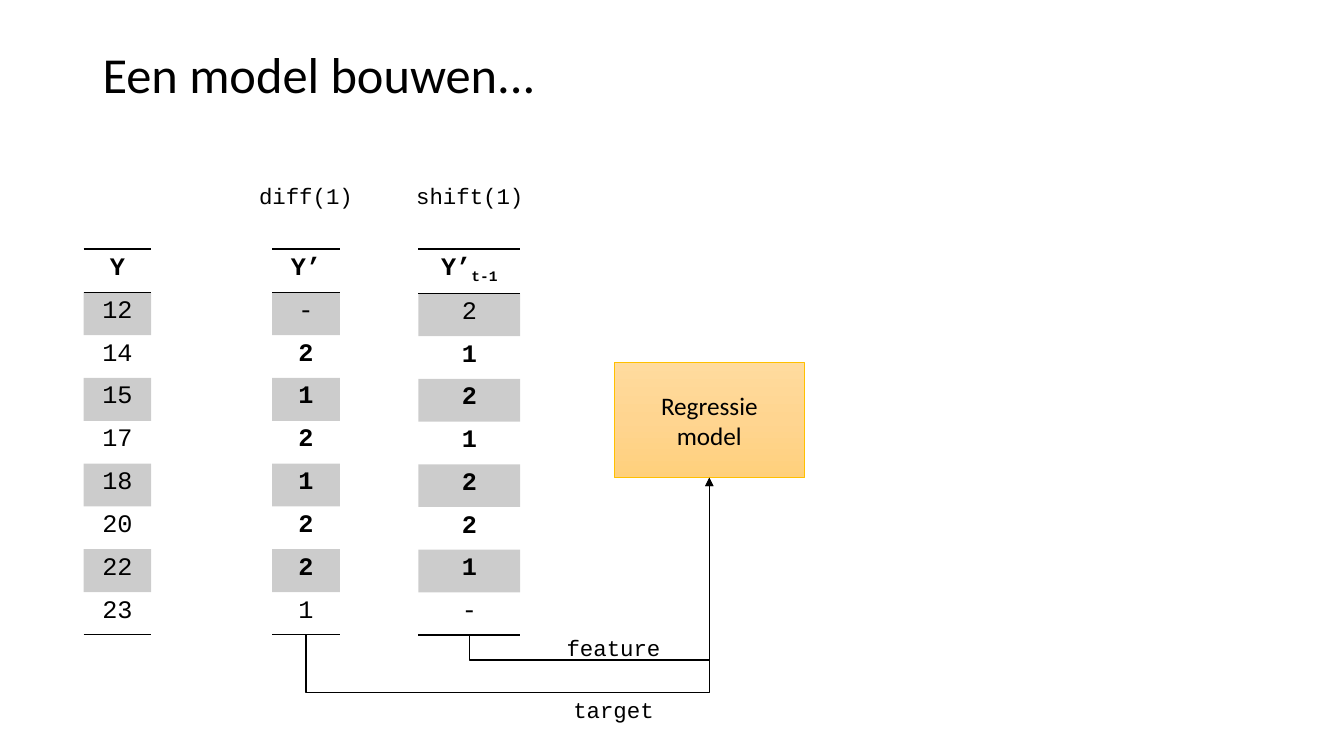
from copy import deepcopy
from dataclasses import dataclass

from lxml.etree import SubElement
from pptx import Presentation
from pptx.dml.color import RGBColor as RGB
from pptx.enum.shapes import MSO_CONNECTOR as Connector, MSO_SHAPE as Shape
from pptx.enum.text import MSO_ANCHOR as Anchor, PP_ALIGN as Align
from pptx.oxml import parse_xml
from pptx.oxml.ns import nsdecls, qn
from pptx.util import Inches, Pt


@dataclass(frozen=True)
class Theme:
    ink: RGB = RGB(0, 0, 0)
    band_opacity: int = 20
    model_stops: tuple = ((0, "FFDB9E"), (0.5, "FFD590"), (1, "FFD07C"))
    model_edge: RGB = RGB(0xFF, 0xC0, 0x00)
    sans: str = "Calibri"
    mono: str = "Courier New"
    title_size: int = 36
    body_size: int = 18
    label_size: int = 16
    rule: int = 1


@dataclass(frozen=True)
class Series:
    heading: str
    values: str
    left: float
    width: float
    subscript: str = ""
    header_height: float = 0.43
    bold_rows: range = range(0)

    @property
    def center(self) -> float:
        return self.left + self.width / 2


@dataclass(frozen=True)
class Label:
    text: str
    left: float
    top: float
    width: float


@dataclass(frozen=True)
class Flow:
    source: Series
    drop: float


THEME = Theme()
TABLE_TOP, TABLE_HEIGHT = 2.47, 3.83
MODEL_LEFT, MODEL_TOP, MODEL_WIDTH, MODEL_HEIGHT = 6.09, 3.6, 1.89, 1.14
NO_STYLE = "{2D5ABB26-0587-4C30-8999-92F81FD0307C}"

LEVEL = Series("Y", "12 14 15 17 18 20 22 23", 0.83, 0.67)
DIFFERENCE = Series("Y’", "- 2 1 2 1 2 2 1", 2.7, 0.67, bold_rows=range(2, 8))
LAGGED = Series("Y’", "2 1 2 1 2 2 1 -", 4.15, 1.01, "t-1", 0.44, range(2, 8))
LABELS = (
    Label("diff(1)", 2.45, 1.76, 1.17),
    Label("shift(1)", 4.01, 1.76, 1.3),
    Label("target", 5.45, 6.86, 1.27),
    Label("feature", 5.45, 6.24, 1.27),
)
FLOWS = (Flow(LAGGED, 0.25), Flow(DIFFERENCE, 0.57))


def add_run(paragraph, text: str, size: int, face: str, bold: bool = False):
    run = paragraph.add_run()
    run.text = text
    run.font.size, run.font.name, run.font.bold = Pt(size), face, bold
    run.font.color.rgb = THEME.ink
    return run


def add_title(slide, text: str) -> None:
    frame = slide.shapes.add_textbox(Inches(0.92), Inches(0.4), Inches(11.5), Inches(0.73)).text_frame
    frame.word_wrap, frame.vertical_anchor = True, Anchor.MIDDLE
    frame.paragraphs[0].line_spacing = 0.9
    add_run(frame.paragraphs[0], text, THEME.title_size, THEME.sans)


def add_label(slide, label: Label) -> None:
    frame = slide.shapes.add_textbox(
        Inches(label.left), Inches(label.top), Inches(label.width), Inches(0.37)).text_frame
    frame.word_wrap = True
    frame.paragraphs[0].alignment = Align.CENTER
    add_run(frame.paragraphs[0], label.text, THEME.label_size, THEME.mono)


def style_cell(cell, banded: bool, edges: tuple[str, ...]) -> None:
    """Shade the cell if banded and rule the named edges, given in the order lnT, lnB."""
    if banded:
        cell.fill.solid()
        cell.fill.fore_color.rgb = THEME.ink
    else:
        cell.fill.background()
    properties = cell._tc.get_or_add_tcPr()
    if banded:
        color = properties.find(".//" + qn("a:srgbClr"))
        SubElement(color, qn("a:alpha"), val=str(THEME.band_opacity * 1000))
    for position, edge in enumerate(edges):
        properties.insert(position, parse_xml(
            f'<a:{edge} {nsdecls("a")} w="{Pt(THEME.rule)}"><a:solidFill>'
            f'<a:srgbClr val="{THEME.ink}"/></a:solidFill></a:{edge}>'))


def add_series(slide, series: Series) -> None:
    values = series.values.split()
    table = slide.shapes.add_table(
        len(values) + 1, 1, Inches(series.left), Inches(TABLE_TOP),
        Inches(series.width), Inches(TABLE_HEIGHT)).table
    table.first_row = table.horz_banding = False
    table._tbl.tblPr.find(qn("a:tableStyleId")).text = NO_STYLE
    value_height = (TABLE_HEIGHT - series.header_height) / len(values)
    for row, text in enumerate([series.heading, *values]):
        table.rows[row].height = Inches(value_height if row else series.header_height)
        cell = table.cell(row, 0)
        paragraph = cell.text_frame.paragraphs[0]
        paragraph.alignment = Align.CENTER
        bold = row == 0 or row in series.bold_rows
        add_run(paragraph, text, THEME.body_size, THEME.mono, bold)
        if row == 0 and series.subscript:
            lag = add_run(paragraph, series.subscript, THEME.body_size, THEME.mono, True)
            lag.font._element.set("baseline", "-25000")
        edges = {0: ("lnT", "lnB"), len(values): ("lnB",)}.get(row, ())
        style_cell(cell, row % 2 == 1, edges)


def add_model(slide) -> None:
    model = slide.shapes.add_shape(
        Shape.RECTANGLE, Inches(MODEL_LEFT), Inches(MODEL_TOP),
        Inches(MODEL_WIDTH), Inches(MODEL_HEIGHT))
    model.shadow.inherit = False
    model.fill.gradient()
    model.fill.gradient_angle = 270
    stop_list = model._element.spPr.find(".//" + qn("a:gsLst"))
    stop_list.append(deepcopy(stop_list[0]))
    for stop, (position, color) in zip(model.fill.gradient_stops, THEME.model_stops):
        stop.position = position
        stop.color.rgb = RGB.from_string(color)
    model.line.color.rgb, model.line.width = THEME.model_edge, Pt(0.5)
    frame = model.text_frame
    frame.word_wrap, frame.vertical_anchor = True, Anchor.MIDDLE
    for number, word in enumerate(("Regressie", "model")):
        paragraph = frame.add_paragraph() if number else frame.paragraphs[0]
        paragraph.alignment = Align.CENTER
        add_run(paragraph, word, THEME.body_size, THEME.sans)


def add_flow(slide, flow: Flow) -> None:
    """Lead an elbow arrow down from a series, across, and up into the model.

    The elbow is laid out on its side around its centre, then turned a quarter.
    """
    start_x, start_y = flow.source.center, TABLE_TOP + TABLE_HEIGHT
    end_x, end_y = MODEL_LEFT + MODEL_WIDTH / 2, MODEL_TOP + MODEL_HEIGHT
    rise, reach = start_y - end_y, end_x - start_x
    middle_x, middle_y = (start_x + end_x) / 2, (start_y + end_y) / 2
    arrow = slide.shapes.add_connector(
        Connector.ELBOW,
        Inches(middle_x + rise / 2), Inches(middle_y + reach / 2),
        Inches(middle_x - rise / 2), Inches(middle_y - reach / 2))
    arrow.line.color.rgb, arrow.line.width = THEME.ink, Pt(THEME.rule)
    properties = arrow._element.spPr
    properties.find(qn("a:xfrm")).set("rot", "5400000")
    guides = properties.find(qn("a:prstGeom")).get_or_add_avLst()
    SubElement(guides, qn("a:gd"), name="adj1", fmla=f"val {round(-flow.drop / rise * 100000)}")
    SubElement(properties.find(qn("a:ln")), qn("a:tailEnd"), type="triangle")
    SubElement(properties, qn("a:effectLst"))


def main() -> None:
    deck = Presentation()
    deck.slide_width, deck.slide_height = Inches(13.33), Inches(7.5)
    slide = deck.slides.add_slide(deck.slide_layouts[6])
    add_title(slide, "Een model bouwen...")
    for series in (LEVEL, DIFFERENCE, LAGGED):
        add_series(slide, series)
    add_model(slide)
    for flow in FLOWS:
        add_flow(slide, flow)
    for label in LABELS:
        add_label(slide, label)
    deck.save("out.pptx")


if __name__ == "__main__":
    main()
